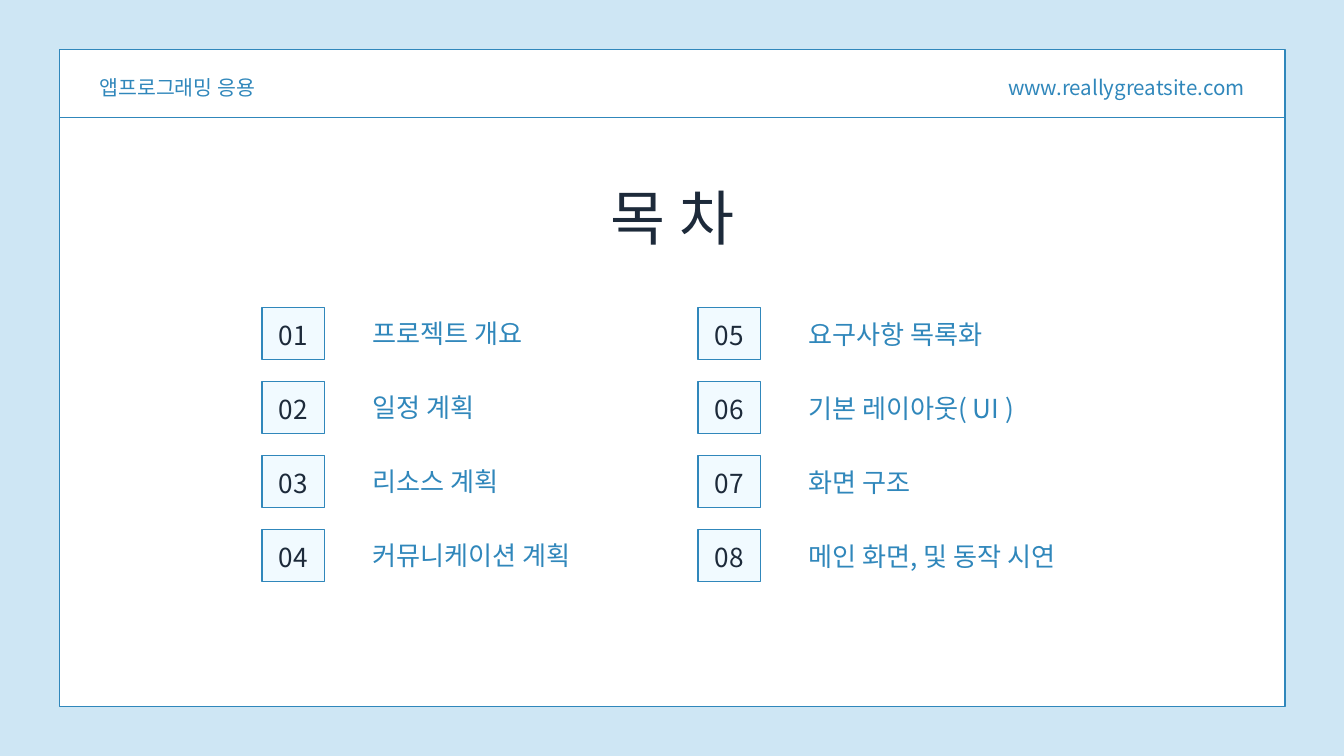
from dataclasses import dataclass

from lxml import etree
from pptx import Presentation
from pptx.dml.color import RGBColor
from pptx.enum import shapes, text
from pptx.oxml import ns
from pptx.util import Inches, Pt

HEADER = "앱프로그래밍 응용"
ADDRESS = "www.reallygreatsite.com"
TITLE = "목 차"
COLUMNS = [
    {"left": 3.9, "text_drop": 0.15,
     "topics": ["프로젝트 개요", "일정 계획", "리소스 계획", "커뮤니케이션 계획"]},
    {"left": 10.39, "text_drop": 0.16,
     "topics": ["요구사항 목록화", "기본 레이아웃( UI )", "화면 구조", "메인 화면, 및 동작 시연"]},
]


@dataclass(frozen=True)
class Theme:
    font: str = "Noto Sans CJK KR"
    backdrop: str = "CEE6F4"
    panel: str = "FFFFFF"
    badge: str = "F1FAFF"
    accent: str = "3087BB"
    ink: str = "1D2A3A"
    header_size: float = 22
    header_leading: float = 30.8
    title_size: float = 64
    title_leading: float = 89.6
    topic_size: float = 28
    topic_leading: float = 33.6
    line_width: float = 1.5


THEME = Theme()
ROW_TOP, ROW_PITCH = 4.58, 1.1
BADGE_WIDTH, BADGE_HEIGHT = 0.93, 0.77
TOPIC_OFFSET = 1.64
PANEL = (0.89, 0.74, 18.23, 9.77)
RULE_TOP = 1.75


def color(value):
    return RGBColor.from_string(value)


def add_panel(page, place, fill):
    panel = page.shapes.add_shape(shapes.MSO_SHAPE.RECTANGLE, *map(Inches, place))
    panel.shadow.inherit = False
    panel.fill.solid()
    panel.fill.fore_color.rgb = color(fill)
    panel.line.color.rgb = color(THEME.accent)
    panel.line.width = Pt(THEME.line_width)


def add_rule(page, left, right, top):
    rule = page.shapes.add_connector(
        shapes.MSO_CONNECTOR.STRAIGHT, *map(Inches, (left, top, right, top)))
    rule.line.color.rgb = color(THEME.accent)
    rule.line.width = Pt(THEME.line_width)
    etree.SubElement(rule._element.spPr, ns.qn("a:effectLst"))


def add_text(page, place, words, size, leading, ink, align=text.PP_ALIGN.LEFT):
    box = page.shapes.add_textbox(*map(Inches, place))
    frame = box.text_frame
    frame.word_wrap = True
    frame.margin_left = frame.margin_right = frame.margin_top = frame.margin_bottom = 0
    para = frame.paragraphs[0]
    para.alignment = align
    para.line_spacing = Pt(leading)
    span = para.add_run()
    span.text = words
    span.font.size = Pt(size)
    span.font.color.rgb = color(ink)
    span.font.name = THEME.font
    etree.SubElement(span._r.get_or_add_rPr(), ns.qn("a:ea"), typeface=THEME.font)


def add_topic(page, number, topic, left, top, text_drop):
    style = (THEME.topic_size, THEME.topic_leading)
    add_panel(page, (left, top, BADGE_WIDTH, BADGE_HEIGHT), THEME.badge)
    add_text(page, (left - 0.18, top + text_drop + 0.02, 1.29, 0.45), f"{number:02}",
             *style, THEME.ink, text.PP_ALIGN.CENTER)
    add_text(page, (left + TOPIC_OFFSET, top + text_drop, 4.25, 0.47), topic,
             *style, THEME.accent)


def main():
    deck = Presentation()
    deck.slide_width, deck.slide_height = Inches(20), Inches(11.25)
    page = deck.slides.add_slide(deck.slide_layouts[6])
    page.background.fill.solid()
    page.background.fill.fore_color.rgb = color(THEME.backdrop)

    add_panel(page, PANEL, THEME.panel)
    add_rule(page, PANEL[0], PANEL[0] + PANEL[2], RULE_TOP)
    header_style = (THEME.header_size, THEME.header_leading, THEME.accent)
    add_text(page, (1.48, 1.06, 3.22, 0.42), HEADER, *header_style)
    add_text(page, (14.41, 1.06, 4.11, 0.42), ADDRESS, *header_style, text.PP_ALIGN.RIGHT)
    add_text(page, (6.94, 2.51, 6.13, 1.19), TITLE, THEME.title_size, THEME.title_leading,
             THEME.ink, text.PP_ALIGN.CENTER)

    number = 1
    for column in COLUMNS:
        for row, topic in enumerate(column["topics"]):
            add_topic(page, number, topic, column["left"], ROW_TOP + row * ROW_PITCH,
                      column["text_drop"])
            number += 1

    deck.save("out.pptx")


if __name__ == "__main__":
    main()
